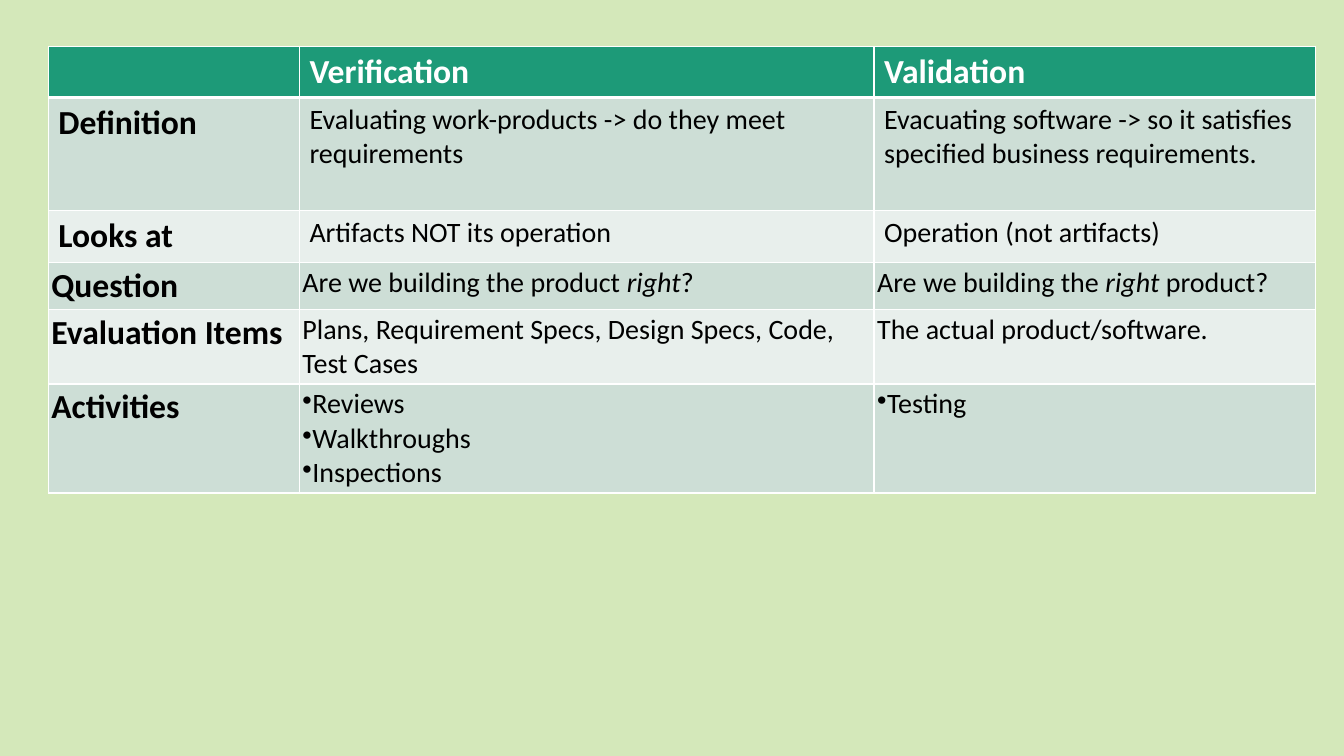
from lxml import etree
from pptx import Presentation
from pptx import util as u
from pptx.dml.color import RGBColor
from pptx.oxml.ns import qn

COLORS = {"page": "D4E8BA", "header": "1D9A78", "dark": "CDDED6",
          "light": "E8EFEC", "white": "FFFFFF", "black": "000000"}
FONT = "Calibri"
BULLET = "•"
TIGHT = 0.03  # inset in inches of the cells in the lower rows
FIRST_TIGHT_ROW = 3

COLUMNS = [18.68, 42.76, 32.86]  # percent of slide width
ROWS = [  # percent of slide height, cell texts; *...* is italic
    (6.75, ["", "Verification", "Validation"]),
    (14.95, ["Definition", "Evaluating work-products -> do they meet requirements",
             "Evacuating software -> so it satisfies specified business requirements."]),
    (6.87, ["Looks at", "Artifacts NOT its operation", "Operation (not artifacts)"]),
    (5.97, ["Question", "Are we building the product *right*?",
            "Are we building the *right* product?"]),
    (9.8, ["Evaluation Items", "Plans, Requirement Specs, Design Specs, Code, Test Cases",
           "The actual product/software."]),
    (14.3, ["Activities", "•Reviews\n•Walkthroughs\n•Inspections", "•Testing"]),
]


def rgb(name):
    return RGBColor.from_string(COLORS[name])


def write(tf, content, size=20, color="black", bold=False):
    """Fill a text frame: one paragraph a line, bullets and *italics* marked."""
    for i, line in enumerate(content.split("\n")):
        p = tf.paragraphs[0] if i == 0 else tf.add_paragraph()
        p.font.size = u.Pt(size)
        if line.startswith(BULLET):
            etree.SubElement(p._p.get_or_add_pPr(), qn("a:buChar"), char=BULLET)
            line = line[len(BULLET):]
        for j, part in enumerate(line.split("*")):
            if part:
                r = p.add_run()
                r.text = part
                f = r.font
                f.name, f.size, f.bold, f.italic = FONT, u.Pt(size), bold, j % 2 == 1
                f.color.rgb = rgb(color)


class Deck:
    def __init__(self):
        self.prs = Presentation()
        self.prs.slide_width, self.prs.slide_height = u.Inches(13.33), u.Inches(7.5)
        self.s = self.prs.slides.add_slide(self.prs.slide_layouts[6])
        fill = self.s.background.fill
        fill.solid()
        fill.fore_color.rgb = rgb("page")

    def x(self, percent):
        return round(self.prs.slide_width * percent / 100)

    def y(self, percent):
        return round(self.prs.slide_height * percent / 100)

    def borders(self, cell, **widths):
        """Draw white cell borders; widths in points by side L, R, T, B."""
        tcPr = cell._tc.get_or_add_tcPr()
        for side, width in widths.items():
            ln = etree.SubElement(tcPr, qn("a:ln" + side), w=str(u.Pt(width)))
            solid = etree.SubElement(ln, qn("a:solidFill"))
            etree.SubElement(solid, qn("a:srgbClr"), val=COLORS["white"])

    def cell(self, cell, content, row, col):
        header = row == 0
        self.borders(cell, L=1, R=1, T=3 if row == 1 else 1, B=3 if header else 1)
        cell.fill.solid()
        band = "dark" if row % 2 else "light"
        cell.fill.fore_color.rgb = rgb("header" if header else band)
        if row >= FIRST_TIGHT_ROW:
            cell.margin_left = cell.margin_right = u.Inches(TIGHT)
            cell.margin_top = cell.margin_bottom = u.Inches(TIGHT)
        label = header or col == 0
        write(cell.text_frame, content, size=24 if label else 20, bold=label,
              color="white" if header else "black")

    def table(self, left, top, columns, rows):
        height = sum(share for share, _ in rows)
        table = self.s.shapes.add_table(
            len(rows), len(columns), self.x(left), self.y(top),
            self.x(sum(columns)), self.y(height)).table
        table.horz_banding = False
        for column, share in zip(table.columns, columns):
            column.width = self.x(share)
        for i, (share, texts) in enumerate(rows):
            table.rows[i].height = self.y(share)
            for j, content in enumerate(texts):
                self.cell(table.cell(i, j), content, i, j)


def main():
    deck = Deck()
    deck.table(3.6, 6.13, COLUMNS, ROWS)
    deck.prs.save("out.pptx")


if __name__ == "__main__":
    main()
